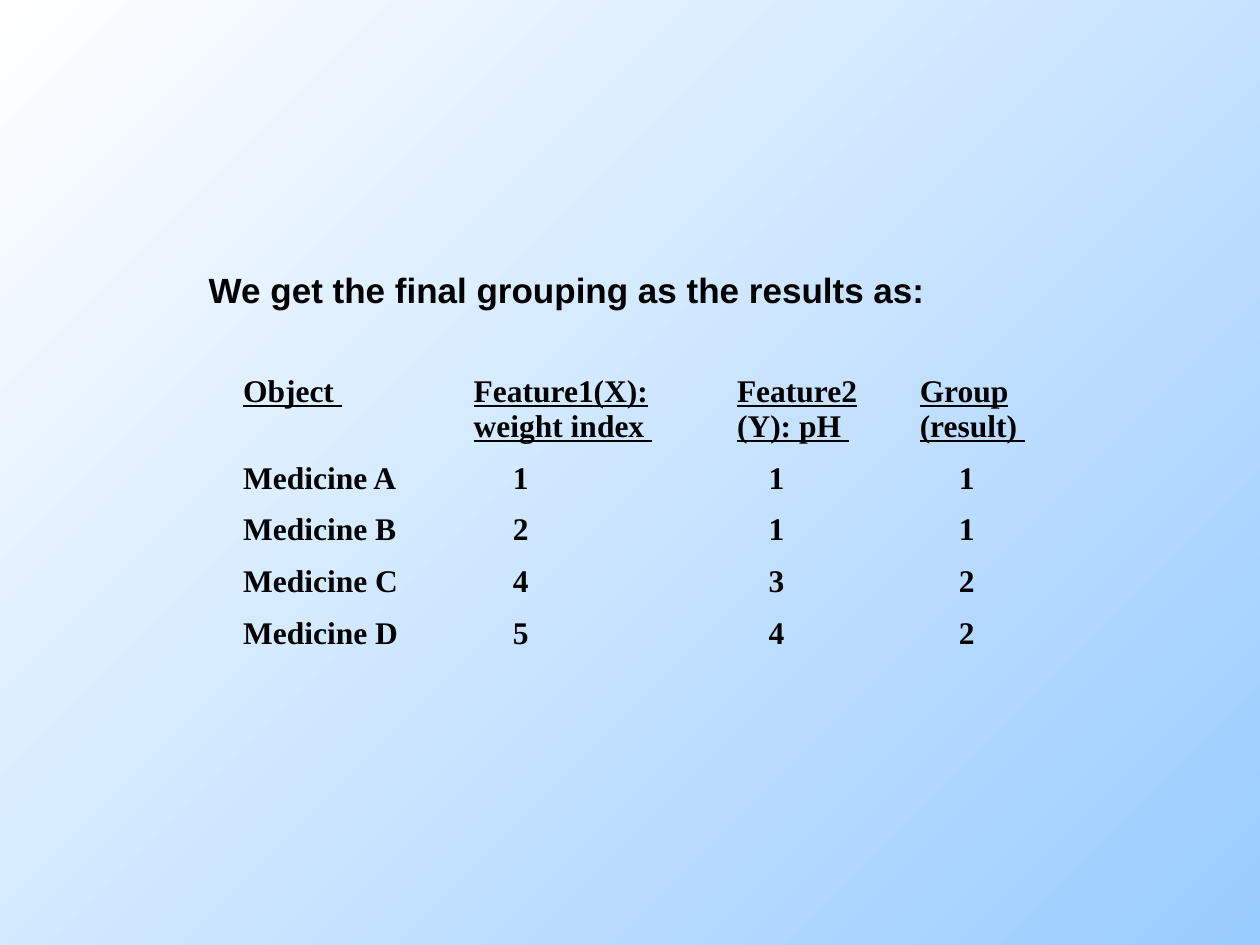
from pptx import Presentation
from pptx.dml.color import RGBColor as Rgb
from pptx.enum.text import MSO_AUTO_SIZE as Auto, PP_ALIGN as Align
from pptx.util import Inches, Pt

# Content
TITLE = "We get the final grouping as the results as:"
HEADS = ["Object ", "Feature1(X):\nweight index ", "Feature2\n(Y): pH ", "Group\n(result) "]
ROWS = [
    ("Medicine A", 1, 1, 1),
    ("Medicine B", 2, 1, 1),
    ("Medicine C", 4, 3, 2),
    ("Medicine D", 5, 4, 2),
]
WIDTHS = [1.83, 2.09, 1.45, 1.63]
INSETS = [0.1, 0.41, 0.35, 0.41]  # left margins of the body cells
HEAD_H, ROW_H, PAD = 0.69, 0.41, 0.1

THEME = {
    "ink": Rgb.from_string("000000"),
    "fade": [Rgb.from_string("FFFFFF"), Rgb.from_string("99CCFF")],
    "title": ("Arial", 20),
    "cell": ("Times New Roman", 18),
}
PLAIN = "{2D5ABB26-0587-4C30-8999-92F81FD0307C}"  # no style, no grid


def style(frame, kind, align, under=False):
    name, size = THEME[kind]
    for para in frame.paragraphs:
        para.alignment = align
        for run in para.runs:
            font = run.font
            font.name, font.size, font.bold = name, Pt(size), True
            font.underline = under
            font.color.rgb = THEME["ink"]


deck = Presentation()
deck.slide_width, deck.slide_height = Inches(10), Inches(7.5)
slide = deck.slides.add_slide(deck.slide_layouts[6])

# Background, fading from top left to bottom right
fill = slide.background.fill
fill.gradient()
fill.gradient_angle = 315
for stop, tone, pos in zip(fill.gradient_stops, THEME["fade"], (0, 1)):
    stop.color.rgb, stop.position = tone, pos

# Table of groups
grid = [HEADS] + ROWS
frame = slide.shapes.add_table(
    len(grid), len(HEADS), Inches(1.83), Inches(2.92),
    Inches(sum(WIDTHS)), Inches(HEAD_H + ROW_H * len(ROWS)))
table = frame.table
table.horz_banding = False
table._tbl.tblPr.find("{*}tableStyleId").text = PLAIN
for col, width in zip(table.columns, WIDTHS):
    col.width = Inches(width)
for r, row in enumerate(grid):
    head = r == 0
    table.rows[r].height = Inches(HEAD_H if head else ROW_H)
    for c, value in enumerate(row):
        cell = table.cell(r, c)
        cell.fill.background()
        cell.margin_left = Inches(PAD if head else INSETS[c])
        cell.text_frame.text = str(value)
        style(cell.text_frame, "cell", Align.JUSTIFY, head)

# Title
box = slide.shapes.add_textbox(Inches(0.5), Inches(2.08), Inches(8), Inches(0.43))
text = box.text_frame
text.word_wrap = True
text.auto_size = Auto.SHAPE_TO_FIT_TEXT
text.text = TITLE
style(text, "title", Align.CENTER)

deck.save("out.pptx")
